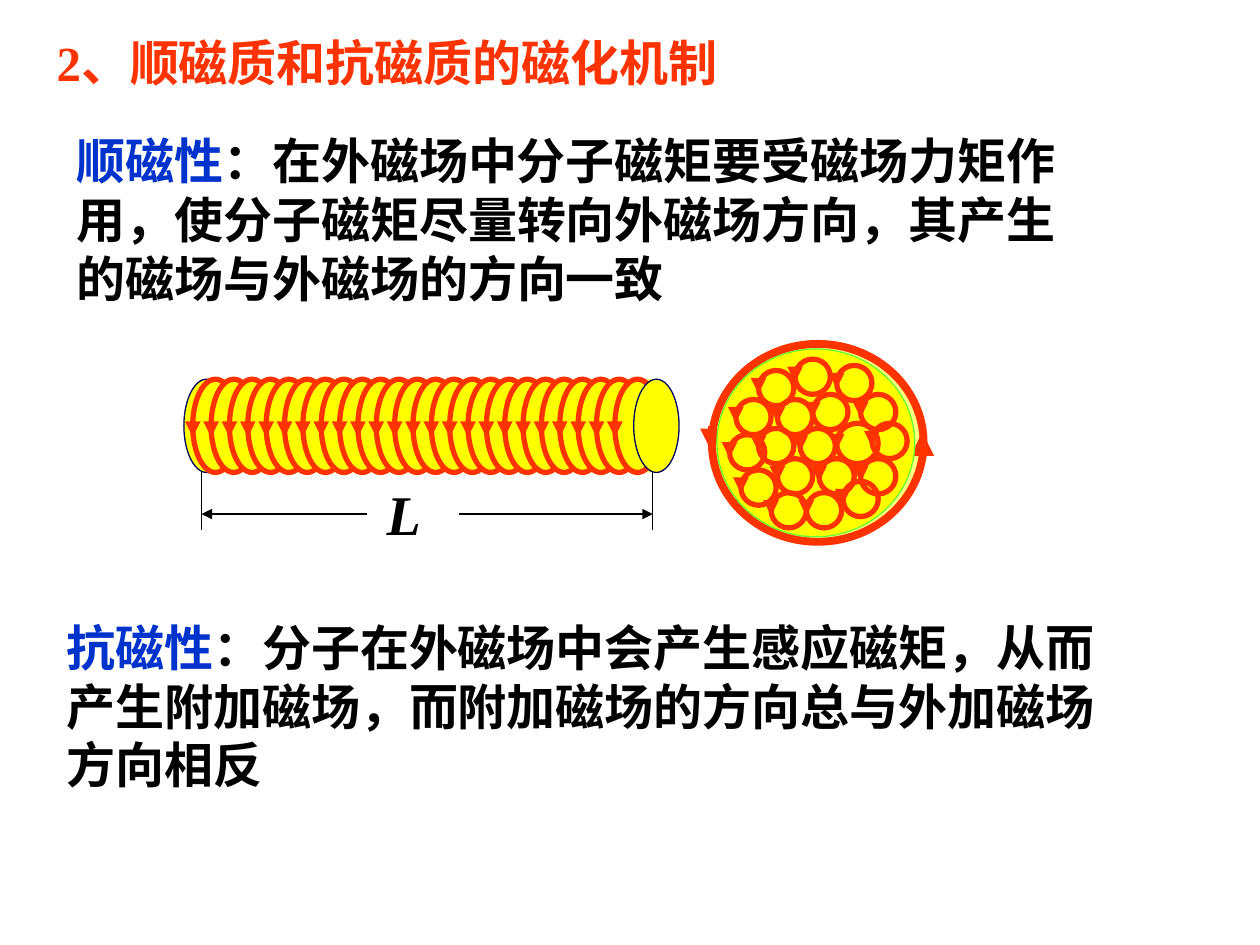
from lxml.etree import SubElement
from pptx import Presentation
from pptx.dml.color import RGBColor
from pptx.enum.shapes import MSO_CONNECTOR as Connector, MSO_SHAPE as Shape
from pptx.enum.text import MSO_ANCHOR as Anchor, MSO_AUTO_SIZE as AutoSize, PP_ALIGN as Align
from pptx.oxml.ns import qn
from pptx.util import Inches, Pt

COLORS = {
    "red": "FF3300", "blue": "0033CC", "black": "000000", "yellow": "FFFF00",
    "drum": "FFFF66", "green": "66FF33", "navy": "000066",
}
TITLE = ("2、顺磁质和抗磁质的磁化机制", (0.35, 0.21, 6.46, 0.57))
DEFINITIONS = [
    ("顺磁性", "：在外磁场中分子磁矩要受磁场力矩作用，使分子磁矩尽量转向外磁场方向，其产生的磁场与外磁场的方向一致",
     (0.51, 0.99, 8.11, 1.5)),
    ("抗磁性", "：分子在外磁场中会产生感应磁矩，从而产生附加磁场，而附加磁场的方向总与外加磁场方向相反",
     (0.43, 4.85, 8.43, 1.5)),
]
LENGTH_LABEL = ("L", (2.97, 3.76, 0.47, 0.64))

SMALL, LARGE = (0.28, 0.28), (0.33, 0.32)
MOLECULES = [
    (6.02, 3.4, SMALL), (6.17, 3.17, SMALL), (6.45, 3.13, SMALL), (6.64, 3.36, LARGE),
    (6.5, 3.64, SMALL), (6.17, 3.64, SMALL), (5.84, 3.17, SMALL), (5.79, 3.45, SMALL),
    (5.88, 3.73, SMALL), (6.35, 3.4, SMALL), (6.12, 3.91, SMALL), (6.4, 3.91, SMALL),
    (6.69, 3.82, SMALL), (6.83, 3.64, SMALL), (6.92, 3.36, SMALL), (6.83, 3.13, SMALL),
    (6.64, 2.9, SMALL), (6.31, 2.85, SMALL), (6.02, 2.94, SMALL),
]
RIM_ARROWS = [((5.65, 3.38), (5.65, 3.59)), ((7.32, 3.59), (7.32, 3.43))]
COIL_TOP, COIL_WIDTH, COIL_HEIGHT = 3.01, 0.36, 0.74
COIL_COUNT, COIL_FIRST, COIL_LAST = 24, 1.53, 4.88
END_LEFTS = (1.46, 5.03)
DRUM_LEFTS, DRUM_WIDTH = (1.53, 2.17, 2.89, 3.53, 4.25), 1.14
DIMENSION_LINES = [
    ((1.6, 3.74), (1.6, 4.21), None), ((5.18, 3.74), (5.18, 4.21), None),
    ((1.6, 4.08), (2.91, 4.08), "headEnd"), ((3.64, 4.08), (5.18, 4.08), "tailEnd"),
]


def rgb(name):
    return RGBColor.from_string(COLORS[name])


def add_figure(shapes, kind, box, fill=None, line=None, width=0.75):
    figure = shapes.add_shape(kind, *map(Inches, box))
    figure.shadow.inherit = False
    if fill:
        figure.fill.solid()
        figure.fill.fore_color.rgb = rgb(fill)
    else:
        figure.fill.background()
    if line:
        figure.line.color.rgb = rgb(line)
        figure.line.width = Pt(width)
    else:
        figure.line.fill.background()
    return figure


def add_line(shapes, start, end, color, width, arrow=None):
    line = shapes.add_connector(Connector.STRAIGHT, *map(Inches, start + end))
    line.line.color.rgb = rgb(color)
    line.line.width = Pt(width)
    if arrow:
        SubElement(line.line._get_or_add_ln(), qn("a:" + arrow), type="triangle")
    SubElement(line._element.spPr, qn("a:effectLst"))


def add_loop(shapes, box, fill, arrow_start, arrow_end):
    left, top, _, height = box
    add_figure(shapes, Shape.OVAL, box, fill, "red", 3)
    add_line(shapes, (left, top + height * arrow_start), (left, top + height * arrow_end),
             "red", 3, "tailEnd")


def write_text(shape, box, runs, size=28, wrap=True, italic=False):
    shape.left, shape.top, shape.width, shape.height = map(Inches, box)
    frame = shape.text_frame
    settings = {"word_wrap": wrap, "vertical_anchor": Anchor.TOP,
                "auto_size": AutoSize.SHAPE_TO_FIT_TEXT}
    for name, value in settings.items():
        setattr(frame, name, value)
    paragraph = frame.paragraphs[0]
    paragraph.alignment = Align.LEFT
    font_format = {"name": "Times New Roman", "size": Pt(size), "bold": True, "italic": italic}
    for text, color in runs:
        run = paragraph.add_run()
        run.text = text
        for name, value in font_format.items():
            setattr(run.font, name, value)
        run.font.color.rgb = rgb(color)


def draw_cross_section(shapes):
    rim = add_figure(shapes, Shape.OVAL, (5.65, 2.73, 1.68, 1.57), "yellow", "red", 4.5)
    rim_color = rim._element.spPr.find(qn("a:solidFill")).find(qn("a:srgbClr"))
    SubElement(rim_color, qn("a:alpha"), val="50000")
    for start, end in RIM_ARROWS:
        add_line(shapes, start, end, "red", 4.5, "tailEnd")
    add_figure(shapes, Shape.OVAL, (5.69, 2.77, 1.57, 1.49), "yellow", "green")
    for left, top, size in MOLECULES:
        add_loop(shapes, (left, top, *size), None, 0.33, 0.66)


def draw_solenoid(shapes):
    first_end, last_end = [(left, COIL_TOP, COIL_WIDTH, COIL_HEIGHT) for left in END_LEFTS]
    add_figure(shapes, Shape.OVAL, first_end, "yellow", "navy")
    for left in DRUM_LEFTS:
        add_figure(shapes, Shape.FLOWCHART_DIRECT_ACCESS_STORAGE,
                   (left, COIL_TOP, DRUM_WIDTH, COIL_HEIGHT), "drum")
    pitch = (COIL_LAST - COIL_FIRST) / (COIL_COUNT - 1)
    for index in range(COIL_COUNT):
        box = (COIL_FIRST + index * pitch, COIL_TOP, COIL_WIDTH, COIL_HEIGHT)
        add_loop(shapes, box, "yellow", 0.45, 0.62)
    add_figure(shapes, Shape.OVAL, last_end, "yellow", "navy")


def draw_dimension(shapes):
    for start, end, arrow in DIMENSION_LINES:
        add_line(shapes, start, end, "black", 0.75, arrow)
    text, box = LENGTH_LABEL
    label = shapes.add_textbox(*map(Inches, box))
    write_text(label, box, [(text, "black")], size=32, wrap=False, italic=True)


def main():
    """Build the slide on paramagnetic and diamagnetic magnetization."""
    presentation = Presentation()
    presentation.slide_width, presentation.slide_height = Inches(10), Inches(7.5)
    slide = presentation.slides.add_slide(presentation.slide_layouts[5])
    title, title_box = TITLE
    write_text(slide.shapes.title, title_box, [(title, "red")])
    for draw in (draw_cross_section, draw_solenoid, draw_dimension):
        draw(slide.shapes.add_group_shape().shapes)
    for term, meaning, box in DEFINITIONS:
        textbox = slide.shapes.add_textbox(*map(Inches, box))
        write_text(textbox, box, [(term, "blue"), (meaning, "black")])
    presentation.save("out.pptx")


if __name__ == "__main__":
    main()
